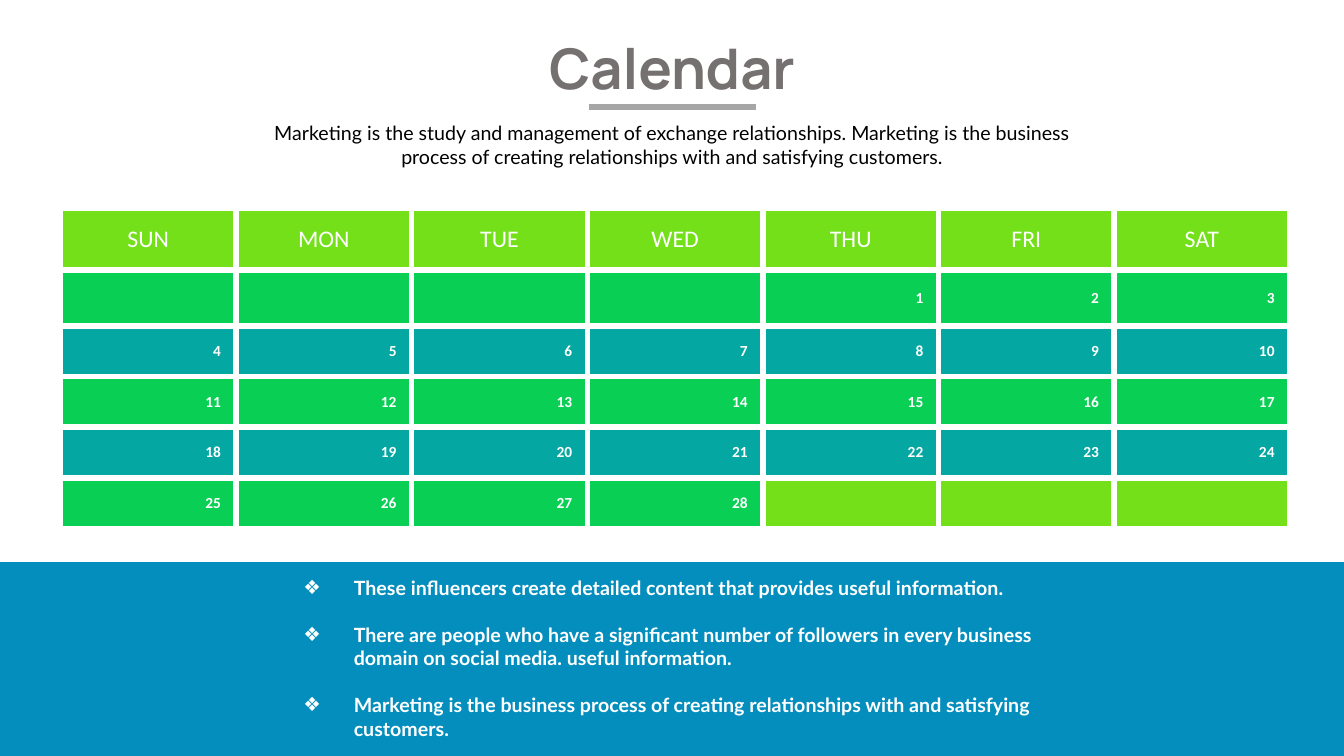
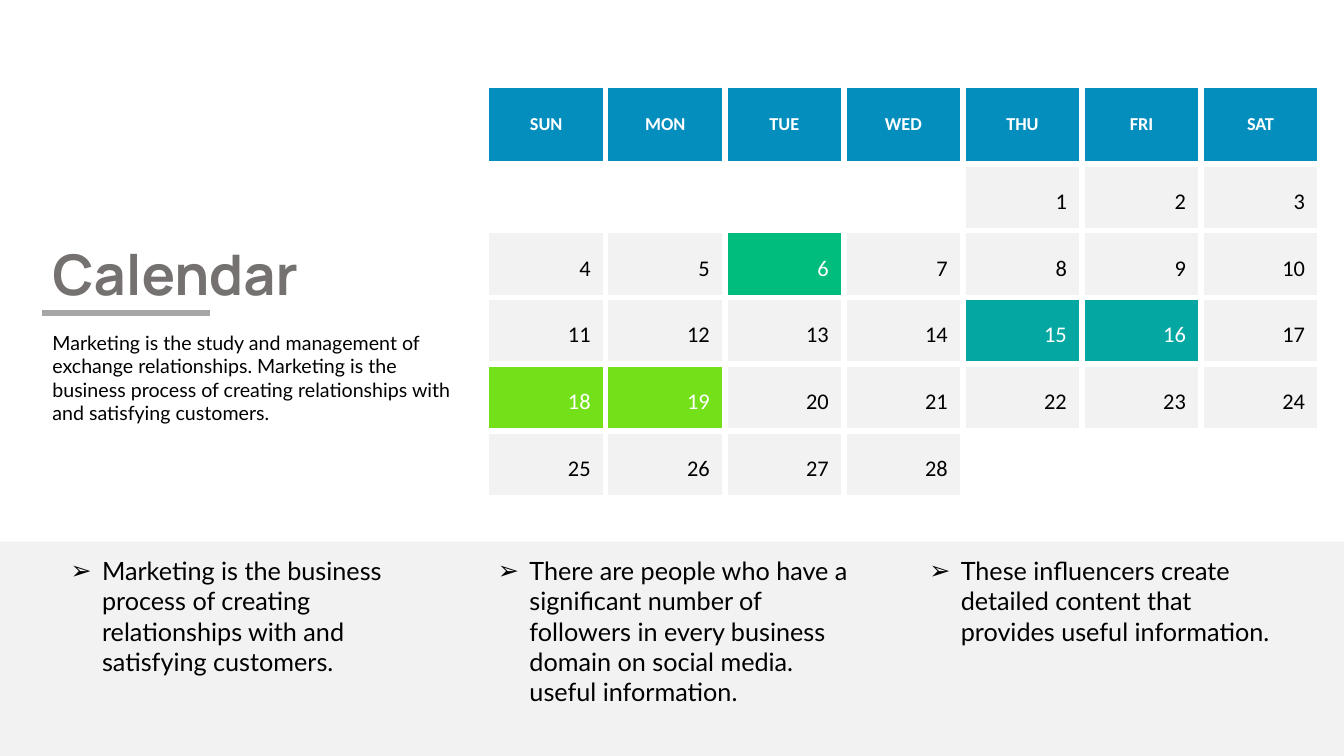
from lxml.etree import SubElement
from pptx import Presentation
from pptx.dml.color import RGBColor
from pptx.enum.shapes import MSO_CONNECTOR, MSO_SHAPE
from pptx.enum.text import MSO_ANCHOR as Anchor, MSO_AUTO_SIZE, PP_ALIGN as Align
from pptx.oxml import parse_xml
from pptx.oxml.ns import nsdecls, qn
from pptx.util import Pt

SLIDE_W, SLIDE_H = 960, 540
LIME, GREEN, TEAL, BLUE, MINT = "73E019", "09D054", "04A7A2", "048EBD", "00BD7D"
WHITE, BLACK, PALE, RULE_GREY, TITLE_GREY = "FFFFFF", "000000", "F2F2F2", "A6A6A6", "767171"
TITLE_FONT, BODY_FONT, CALENDAR_FONT = "Manrope", "Lato", "Calibri"
RULE_LENGTH = 119.6

TITLE = "Calendar"
INTRO = ("Marketing is the study and management of exchange relationships. "
         "Marketing is the business process of creating relationships with "
         "and satisfying customers.")
CONTENT_NOTE = "These influencers create detailed content that provides useful information."
PEOPLE_NOTE = ("There are people who have a significant number of followers in every "
               "business domain on social media. useful information.")
PROCESS_NOTE = ("Marketing is the business process of creating relationships with "
                "and satisfying customers.")

WEEKDAYS = ["SUN", "MON", "TUE", "WED", "THU", "FRI", "SAT"]
FIRST_WEEKDAY, DAY_COUNT, WEEK_COUNT = 4, 28, 5
HIGHLIGHTS = {6: MINT, 15: TEAL, 16: TEAL, 18: LIME, 19: LIME}

# left, top, width, height of each note column
NOTE_COLUMNS = [
    (PROCESS_NOTE, (43.2, 393.1, 247.7, 94.3)),
    (PEOPLE_NOTE, (348.5, 393.1, 267.8, 138.2)),
    (CONTENT_NOTE, (656.6, 393.1, 266.4, 72.7)),
]


def rgb(value):
    return RGBColor.from_string(value)


def style_paragraph(paragraph, font, size, color, bold=False, align=Align.LEFT):
    paragraph.alignment = align
    for run in paragraph.runs:
        run.font.name = font
        run.font.size = Pt(size)
        run.font.bold = bold
        run.font.color.rgb = rgb(color)


def set_bullet(paragraph, bullet, indent):
    """Give the paragraph a hanging bullet, or none when bullet is empty."""
    props = paragraph._p.get_or_add_pPr()
    props.set("marL", str(Pt(indent)))
    props.set("indent", str(-Pt(indent)))
    if bullet:
        SubElement(props, qn("a:buChar")).set("char", bullet)
    else:
        SubElement(props, qn("a:buNone"))


def fill_placeholder(placeholder, box, paragraphs, font, size, color, bold=False,
                     align=Align.LEFT, bullet="", indent=0, gap=0):
    placeholder.left, placeholder.top, placeholder.width, placeholder.height = map(Pt, box)
    frame = placeholder.text_frame
    frame.text = "\n".join(paragraphs)
    frame.word_wrap = True
    frame.auto_size = MSO_AUTO_SIZE.NONE
    frame.vertical_anchor = Anchor.TOP
    for number, paragraph in enumerate(frame.paragraphs):
        style_paragraph(paragraph, font, size, color, bold, align)
        set_bullet(paragraph, bullet, indent)
        paragraph.space_before = Pt(gap if number else 0)
        paragraph.space_after = Pt(0)


def add_heading(slide, title_box, intro_box, rule_start, align):
    """Title, the short rule under it and the introduction."""
    fill_placeholder(slide.shapes.title, title_box, [TITLE], TITLE_FONT, 40,
                     TITLE_GREY, True, align)
    fill_placeholder(slide.placeholders[1], intro_box, [INTRO], BODY_FONT, 14,
                     BLACK, align=align)
    x, y = rule_start
    rule = slide.shapes.add_connector(MSO_CONNECTOR.STRAIGHT, Pt(x), Pt(y),
                                      Pt(x + RULE_LENGTH), Pt(y))
    rule.line.color.rgb = rgb(RULE_GREY)
    rule.line.width = Pt(4.25)
    SubElement(rule._element.spPr, qn("a:effectLst"))


def add_bottom_band(slide, top, color):
    """Full-width band behind everything, from top to the slide's edge."""
    band = slide.shapes.add_shape(MSO_SHAPE.RECTANGLE, 0, Pt(top), Pt(SLIDE_W),
                                  Pt(SLIDE_H - top))
    band.shadow.inherit = False
    band.fill.solid()
    band.fill.fore_color.rgb = rgb(color)
    band.line.fill.background()
    band._element.getparent().insert(2, band._element)


def style_cell(cell, text, fill, insets, anchor, **text_style):
    cell.margin_left = cell.margin_right = Pt(insets[0])
    cell.margin_top = cell.margin_bottom = Pt(insets[1])
    cell.vertical_anchor = anchor
    if text:
        cell.text_frame.text = text
        style_paragraph(cell.text_frame.paragraphs[0], CALENDAR_FONT, **text_style)
    else:
        cell.text_frame.paragraphs[0].font.size = Pt(text_style["size"])
    if fill:
        cell.fill.solid()
        cell.fill.fore_color.rgb = rgb(fill)
    else:
        cell.fill.background()
    props = cell._tc.get_or_add_tcPr()
    for position, side in enumerate(("lnL", "lnR", "lnT", "lnB")):
        props.insert(position, parse_xml(
            f'<a:{side} {nsdecls("a")} w="{Pt(4.5)}"><a:solidFill>'
            f'<a:srgbClr val="{WHITE}"/></a:solidFill></a:{side}>'))


def add_calendar(slide, left, top, column_width, row_heights, header_fill,
                 header_style, day_look, day_anchor, day_style):
    """day_look(day, week) gives the fill and text colour of a day's cell."""
    columns = len(WEEKDAYS)
    table = slide.shapes.add_table(
        len(row_heights), columns, Pt(left), Pt(top),
        Pt(column_width * columns), Pt(sum(row_heights))).table
    table.first_row = table.horz_banding = False
    for column in table.columns:
        column.width = Pt(column_width)
    for row, height in zip(table.rows, row_heights):
        row.height = Pt(height)
    for column, weekday in enumerate(WEEKDAYS):
        style_cell(table.cell(0, column), weekday, header_fill, (3.6, 1.8),
                   Anchor.MIDDLE, color=WHITE, align=Align.CENTER, **header_style)
        for week in range(WEEK_COUNT):
            day = week * columns + column - FIRST_WEEKDAY + 1
            fill, color = day_look(day, week)
            text = str(day) if 1 <= day <= DAY_COUNT else ""
            style_cell(table.cell(week + 1, column), text, fill, (10.8, 10.8),
                       day_anchor, color=color, align=Align.RIGHT, **day_style)


def striped_look(day, week):
    if day > DAY_COUNT:
        return LIME, WHITE
    return (TEAL if week % 2 else GREEN), WHITE


def highlighted_look(day, week):
    if not 1 <= day <= DAY_COUNT:
        return None, BLACK
    return HIGHLIGHTS.get(day, PALE), WHITE if day in HIGHLIGHTS else BLACK


def build_striped_slide(deck):
    slide = deck.slides.add_slide(deck.slide_layouts.get_by_name("Two Content"))
    add_heading(slide, (375.6, 20.2, 208.8, 55.4), (170.6, 82.8, 619.2, 41),
                (420.4, 76.3), Align.CENTER)
    add_calendar(slide, 43.2, 148.4, 125.45, [44.6, 39.8] + [36.2] * 4, LIME,
                 dict(size=17), striped_look, Anchor.MIDDLE, dict(size=11, bold=True))
    add_bottom_band(slide, 401.6, BLUE)
    fill_placeholder(slide.placeholders[2], (209.5, 407.5, 541.4, 126),
                     [CONTENT_NOTE, PEOPLE_NOTE, PROCESS_NOTE], BODY_FONT, 14, WHITE,
                     True, bullet="❖", indent=36, gap=16.8)


def build_highlighted_slide(deck):
    slide = deck.slides.add_slide(deck.slide_layouts.get_by_name("Comparison"))
    add_heading(slide, (30.2, 167.8, 208.8, 55.4), (30.2, 232.4, 304.6, 74.9),
                (30.2, 223.4), Align.LEFT)
    add_calendar(slide, 347.6, 61, 85.05, [56.2] + [47.65] * WEEK_COUNT, BLUE,
                 dict(size=13, bold=True), highlighted_look, Anchor.BOTTOM,
                 dict(size=16))
    add_bottom_band(slide, 386.8, PALE)
    for index, (note, box) in enumerate(NOTE_COLUMNS, start=2):
        fill_placeholder(slide.placeholders[index], box, [note], BODY_FONT, 18, BLACK,
                         bullet="➢", indent=22.5)


def main():
    deck = Presentation()
    deck.slide_width, deck.slide_height = Pt(SLIDE_W), Pt(SLIDE_H)
    build_striped_slide(deck)
    build_highlighted_slide(deck)
    deck.save("out.pptx")


if __name__ == "__main__":
    main()
